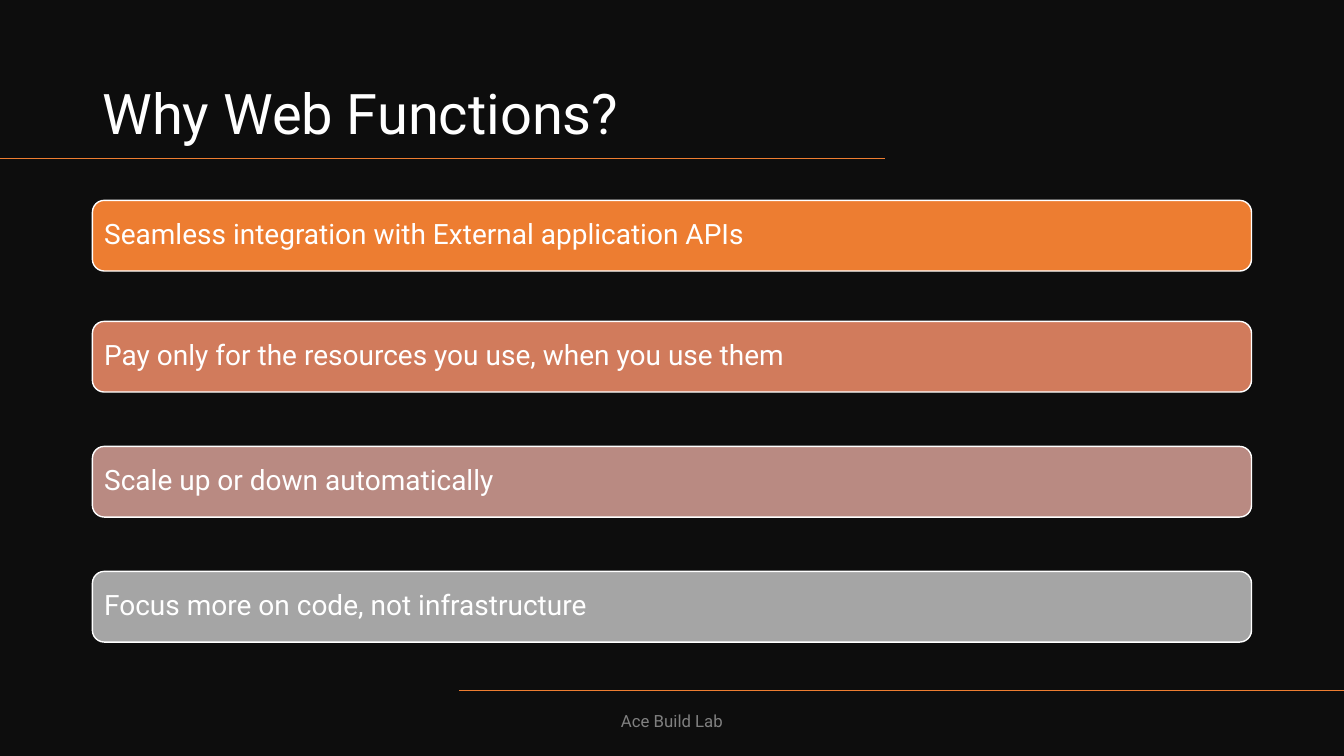
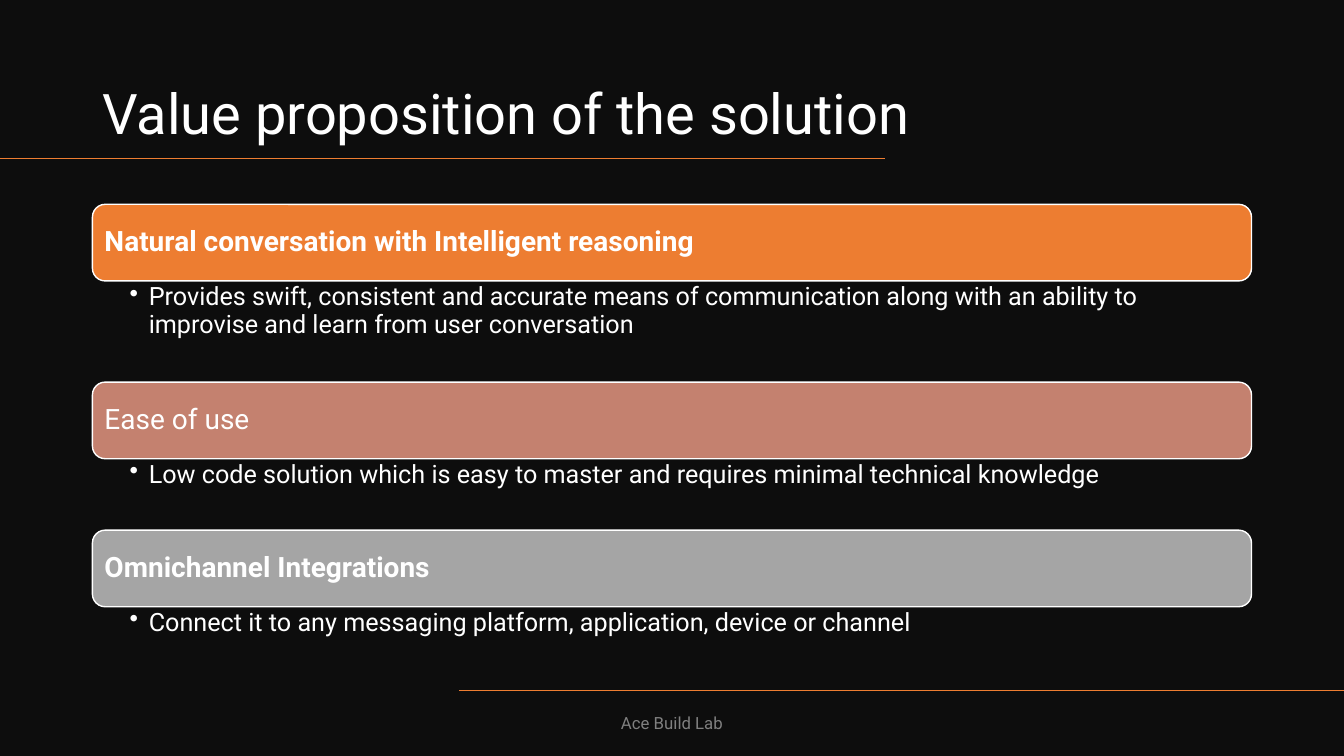
from lxml.etree import SubElement
from pptx import Presentation
from pptx.dml.color import RGBColor
from pptx.enum.shapes import MSO_CONNECTOR, MSO_SHAPE
from pptx.enum.text import MSO_ANCHOR, MSO_AUTO_SIZE, PP_ALIGN
from pptx.oxml.ns import qn
from pptx.util import Cm, Pt

BLACK = RGBColor(0x0D, 0x0D, 0x0D)
WHITE = RGBColor(0xFF, 0xFF, 0xFF)
GREY = RGBColor(0x80, 0x80, 0x80)
ORANGE = RGBColor(0xED, 0x7D, 0x31)
COPPER = RGBColor(0xD1, 0x7B, 0x5C)
CLAY = RGBColor(0xC4, 0x81, 0x6F)
ROSE = RGBColor(0xB9, 0x8A, 0x82)
SILVER = RGBColor(0xA5, 0xA5, 0xA5)

FONT = "Roboto"
WIDTH, HEIGHT = 33.87, 19.05
LEFT, BODY_WIDTH = 2.33, 29.21
RULE_LENGTH = 22.3


class Deck:
    """Builds dark slides with a title, two accent rules, bars and a footer."""

    def __init__(self):
        self.prs = Presentation()
        self.prs.slide_width, self.prs.slide_height = Cm(WIDTH), Cm(HEIGHT)
        self.s = None

    def slide(self, title, footer_top):
        self.s = self.prs.slides.add_slide(self.prs.slide_layouts[5])
        fill = self.s.background.fill
        fill.solid()
        fill.fore_color.rgb = BLACK
        self.title(title)
        self.rule(0, 4)
        self.rule(WIDTH - RULE_LENGTH, 17.4)
        self.footer("Ace Build Lab", footer_top)

    def add_text(self, tf, text, size, color=WHITE, bold=False,
                 align=PP_ALIGN.LEFT, spacing=0.9):
        tf.word_wrap = True
        p = tf.paragraphs[0]
        p.alignment = align
        p.line_spacing = spacing
        r = p.add_run()
        r.text = text
        r.font.name, r.font.size, r.font.bold = FONT, Pt(size), bold
        r.font.color.rgb = color
        return p

    def title(self, text):
        sp = self.s.shapes.title
        sp.left, sp.top = Cm(LEFT), Cm(1.06)
        sp.width, sp.height = Cm(25.22), Cm(2.77)
        tf = sp.text_frame
        tf.auto_size = MSO_AUTO_SIZE.NONE
        tf.vertical_anchor = MSO_ANCHOR.BOTTOM
        self.add_text(tf, text, 40)

    def rule(self, left, top):
        line = self.s.shapes.add_connector(
            MSO_CONNECTOR.STRAIGHT, Cm(left), Cm(top),
            Cm(left + RULE_LENGTH), Cm(top))
        line.line.color.rgb = ORANGE
        line.line.width = Pt(1)
        SubElement(line._element.spPr, qn("a:effectLst"))

    def footer(self, text, top):
        tf = self.s.shapes.add_textbox(
            Cm(11.22), Cm(top), Cm(11.43), Cm(1.02)).text_frame
        tf.vertical_anchor = MSO_ANCHOR.MIDDLE
        p = self.add_text(tf, text, 12, GREY, align=PP_ALIGN.CENTER, spacing=1.0)
        p.space_after = Pt(6)

    def bar(self, text, top, height, color, bold=False):
        sp = self.s.shapes.add_shape(
            MSO_SHAPE.ROUNDED_RECTANGLE,
            Cm(LEFT), Cm(top), Cm(BODY_WIDTH), Cm(height))
        sp.shadow.inherit = False
        sp.fill.solid()
        sp.fill.fore_color.rgb = color
        sp.line.color.rgb = WHITE
        sp.line.width = Pt(1)
        tf = sp.text_frame
        tf.margin_left = tf.margin_right = Cm(0.21)
        tf.margin_top = tf.margin_bottom = Cm(0.2)
        tf.vertical_anchor = MSO_ANCHOR.MIDDLE
        self.add_text(tf, text, 20, bold=bold)

    def detail(self, text, top, height):
        tf = self.s.shapes.add_textbox(
            Cm(LEFT), Cm(top), Cm(BODY_WIDTH), Cm(height)).text_frame
        tf.margin_left, tf.margin_right = Cm(0.94), Cm(0.36)
        tf.margin_top = tf.margin_bottom = Cm(0.08)
        pPr = self.add_text(tf, text, 18)._p.get_or_add_pPr()
        pPr.set("marL", str(Cm(0.48)))
        pPr.set("indent", str(-Cm(0.48)))
        SubElement(pPr, qn("a:buChar")).set("char", "•")


def main():
    deck = Deck()

    deck.slide("Why Web Functions?", 17.65)
    reasons = [
        ("Seamless integration with External application APIs", 5.05, ORANGE),
        ("Pay only for the resources you use, when you use them", 8.1, COPPER),
        ("Scale up or down automatically", 11.25, ROSE),
        ("Focus more on code, not infrastructure", 14.4, SILVER),
    ]
    for text, top, color in reasons:
        deck.bar(text, top, 1.78, color)

    deck.slide("Value proposition of the solution", 17.7)
    values = [
        ("Natural conversation with Intelligent reasoning", True, ORANGE, 2.55,
         "Provides swift, consistent and accurate means of communication along "
         "with an ability to improvise and learn from user conversation"),
        ("Ease of use", False, CLAY, 1.8,
         "Low code solution which is easy to master and requires minimal "
         "technical knowledge"),
        ("Omnichannel Integrations", True, SILVER, 1.8,
         "Connect it to any messaging platform, application, device or channel"),
    ]
    top, bar_height = 5.15, 1.93
    for heading, bold, color, height, text in values:
        deck.bar(heading, top, bar_height, color, bold)
        deck.detail(text, top + bar_height, height)
        top += bar_height + height

    deck.prs.save("out.pptx")


if __name__ == "__main__":
    main()
